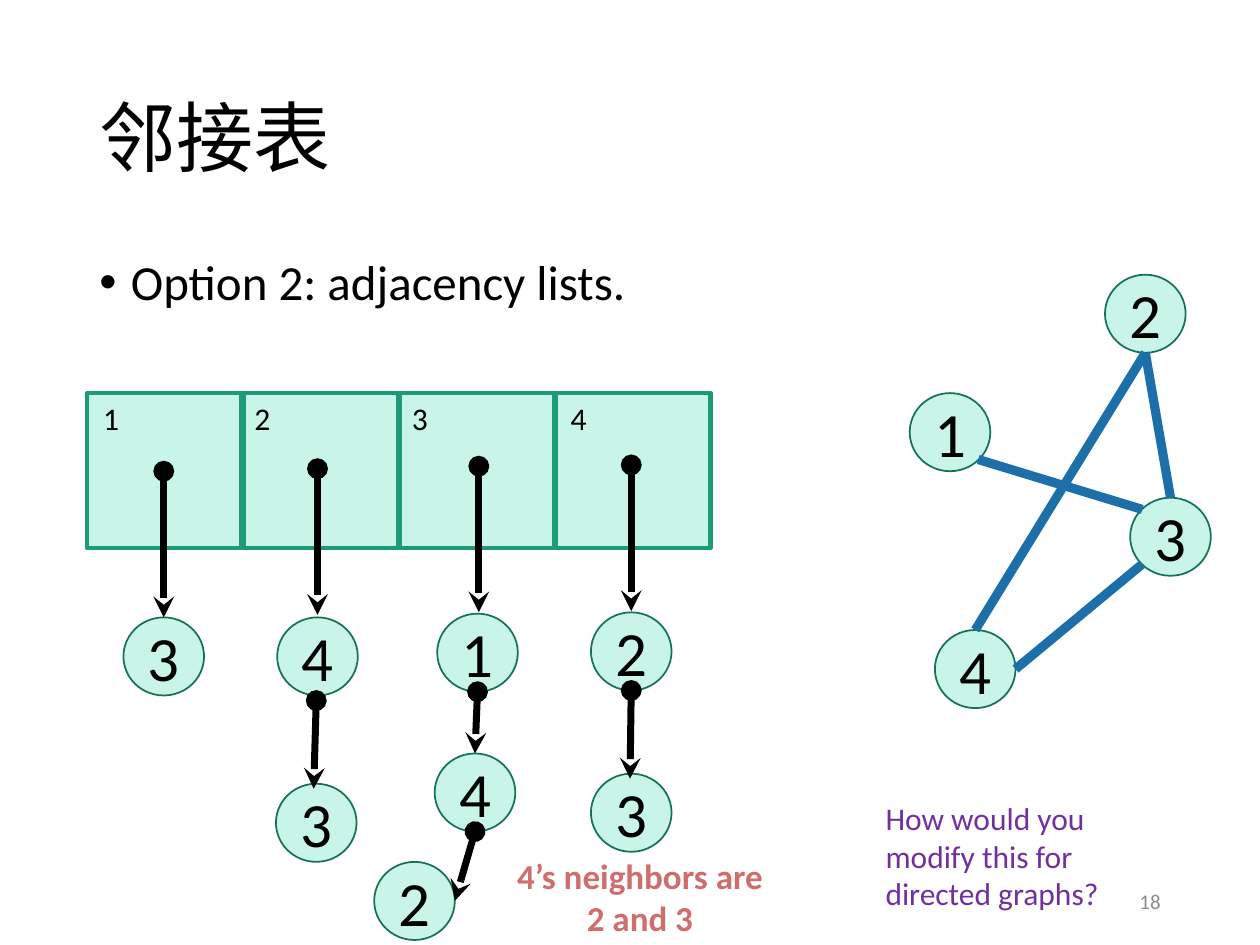
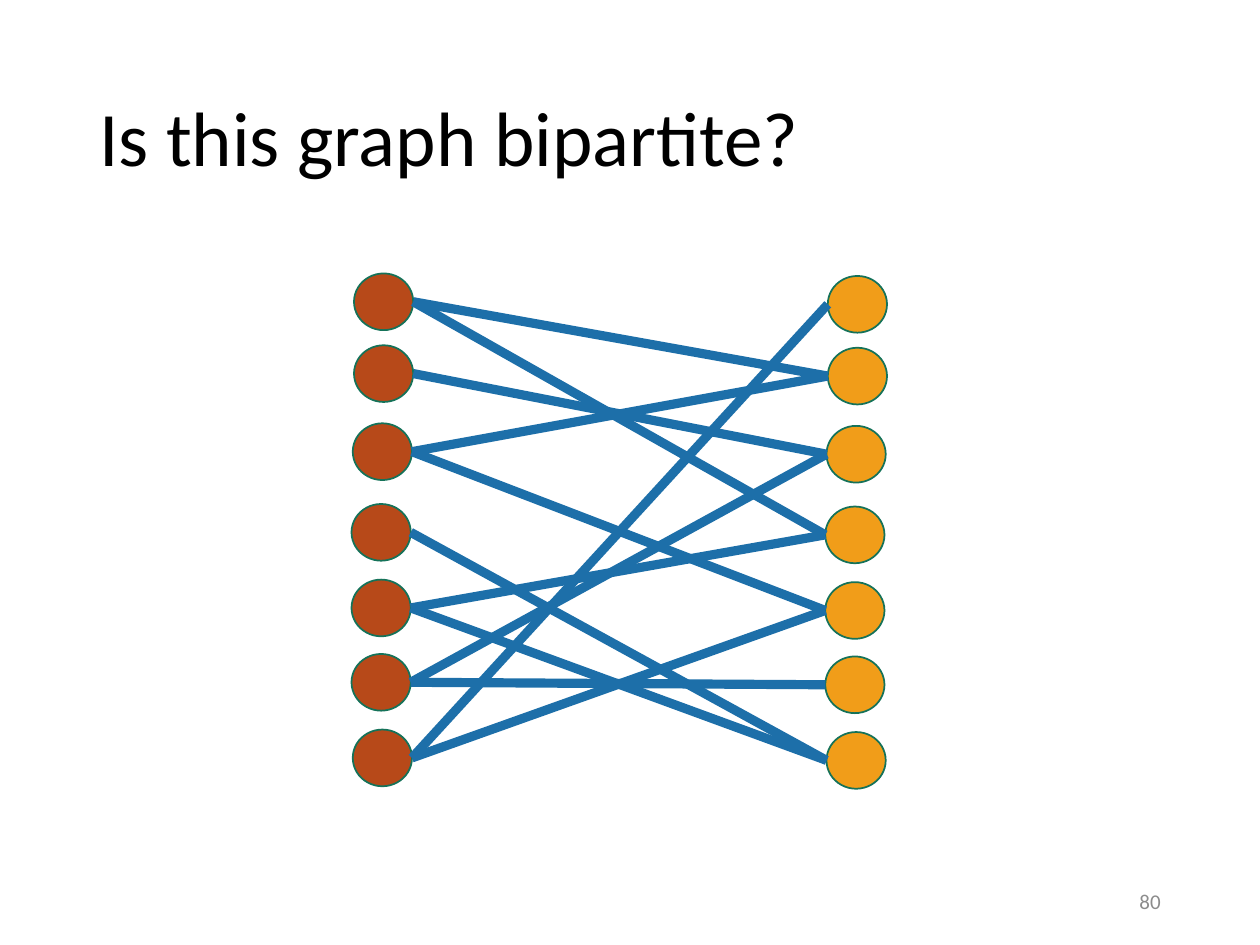
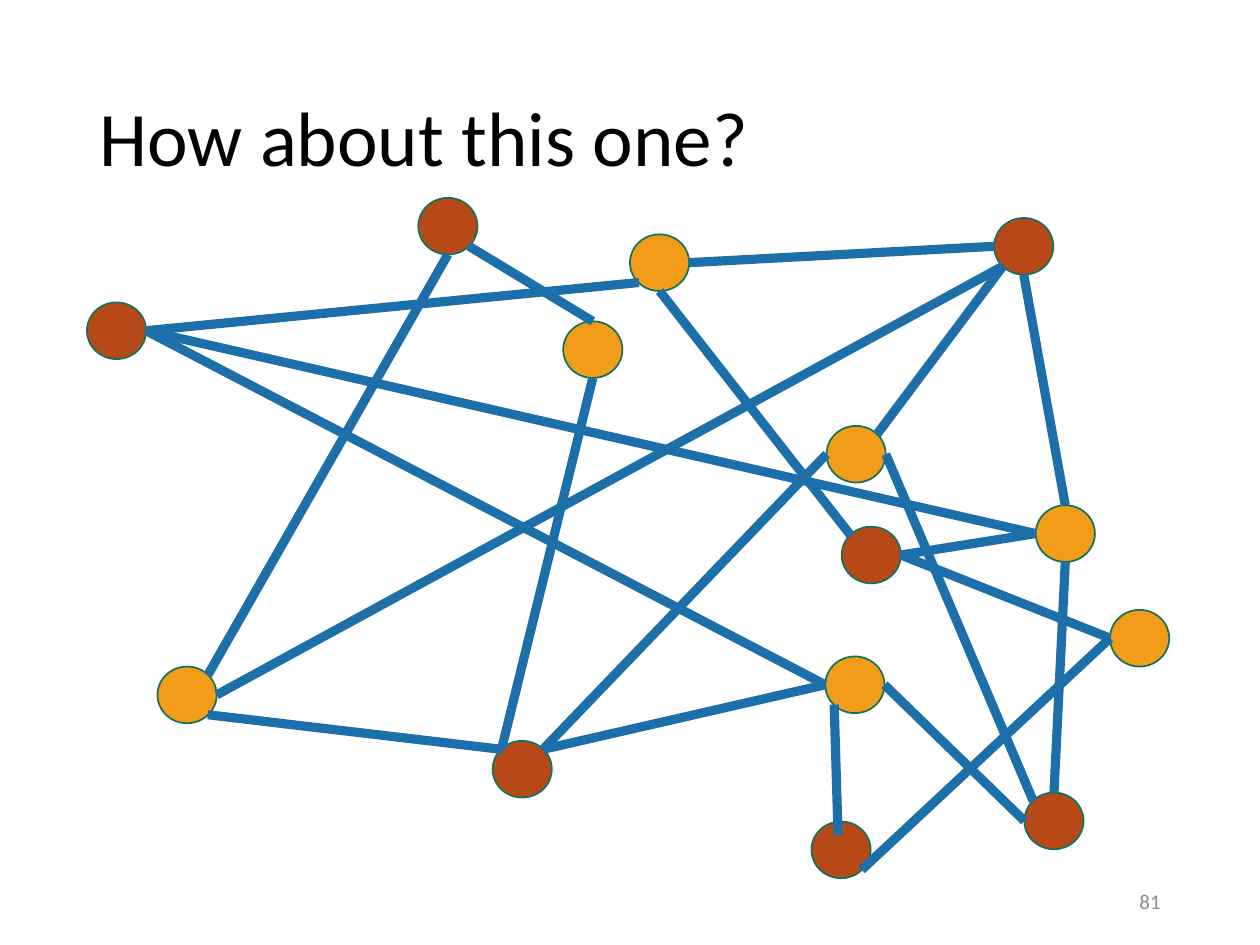
from dataclasses import dataclass

from lxml import etree
from pptx import Presentation
from pptx.dml.color import RGBColor
from pptx.enum.shapes import MSO_CONNECTOR, MSO_SHAPE
from pptx.enum.text import MSO_ANCHOR as Anchor, PP_ALIGN as Align
from pptx.oxml.ns import qn
from pptx.util import Inches, Pt

FONT = "Calibri"
BLACK, GREY, PURPLE, PINK = "000000", "8C8C8C", "7030A0", "CF6E6C"
MINT, GREEN, DARK_GREEN = "C8F5E8", "1D9A78", "157259"
BLUE, RED, ORANGE = "1D6FA9", "B74919", "F19D19"

LABELLED_SIZE = (0.64, 0.62)
DOT_SIZE = (0.47, 0.45)

# Points on a node's outline, as fractions of its width and height.
SITES = {
    "left": (0, 0.5), "right": (1, 0.5), "top": (0.5, 0), "bottom": (0.5, 1),
    "top left": (0.15, 0.15), "top right": (0.85, 0.15),
    "bottom left": (0.15, 0.85), "bottom right": (0.85, 0.85),
    "inside": (0.45, 0.24),
}


@dataclass
class Node:
    left: float
    top: float
    size: tuple
    fill: str
    label: str = ""

    def site(self, name):
        across, down = SITES[name]
        return self.left + across * self.size[0], self.top + down * self.size[1]


def rgb(color):
    return RGBColor.from_string(color)


def format_paragraph(paragraph, size, color, align=Align.LEFT, bold=False):
    paragraph.alignment = align
    for run in paragraph.runs:
        run.font.name = FONT
        run.font.size = Pt(size)
        run.font.bold = bold
        run.font.color.rgb = rgb(color)


def add_text(slide, box, text, size, color=BLACK, align=Align.LEFT,
             anchor=Anchor.TOP, bold=False):
    text_frame = slide.shapes.add_textbox(*map(Inches, box)).text_frame
    text_frame.word_wrap = True
    text_frame.vertical_anchor = anchor
    text_frame.text = text
    paragraph = text_frame.paragraphs[0]
    format_paragraph(paragraph, size, color, align, bold)
    return paragraph


def add_outlined(slide, kind, box, fill, line, width):
    shape = slide.shapes.add_shape(kind, *map(Inches, box))
    shape.shadow.inherit = False
    shape.fill.solid()
    shape.fill.fore_color.rgb = rgb(fill)
    shape.line.color.rgb = rgb(line)
    shape.line.width = Pt(width)
    return shape


def add_node(slide, node):
    box = (node.left, node.top, *node.size)
    shape = add_outlined(slide, MSO_SHAPE.OVAL, box, node.fill, DARK_GREEN, 1)
    if node.label:
        text_frame = shape.text_frame
        text_frame.vertical_anchor = Anchor.MIDDLE
        text_frame.text = node.label
        format_paragraph(text_frame.paragraphs[0], 36, BLACK, Align.CENTER)


def add_line(slide, start, end, color=BLUE, width=5.25):
    connector = slide.shapes.add_connector(
        MSO_CONNECTOR.STRAIGHT, *map(Inches, (*start, *end)))
    connector.line.color.rgb = rgb(color)
    connector.line.width = Pt(width)
    etree.SubElement(connector._element.spPr, qn("a:effectLst"))
    return connector


def add_pointer(slide, start, end):
    """Black arrow that starts with a dot."""
    outline = add_line(slide, start, end, BLACK, 4).line._get_or_add_ln()
    for tag, kind in (("a:headEnd", "oval"), ("a:tailEnd", "stealth")):
        etree.SubElement(outline, qn(tag)).set("type", kind)


def add_graph(slide, nodes, edges):
    """Draw nodes, then edges given as (node, site, node, site)."""
    for node in nodes.values():
        add_node(slide, node)
    for first, first_site, second, second_site in edges:
        add_line(slide, nodes[first].site(first_site),
                 nodes[second].site(second_site))


def new_slide(presentation, title, number):
    slide = presentation.slides.add_slide(presentation.slide_layouts[6])
    heading = add_text(slide, (0.69, 0.4, 8.62, 1.45), title, 44,
                       anchor=Anchor.MIDDLE)
    heading.line_spacing = 0.9
    add_text(slide, (7.06, 6.95, 2.25, 0.4), str(number), 12, GREY,
             Align.RIGHT, Anchor.MIDDLE)
    return slide


def add_bullet_text(slide, box, text):
    paragraph = add_text(slide, box, text, 28)
    paragraph.line_spacing = 0.9
    properties = paragraph._p.get_or_add_pPr()
    properties.set("marL", str(Inches(0.25)))
    properties.set("indent", str(-Inches(0.25)))
    etree.SubElement(properties, qn("a:buFont")).set("typeface", "Arial")
    etree.SubElement(properties, qn("a:buChar")).set("char", "•")


def add_sample_graph(slide, left, top):
    places = {"1": (0, 0.94), "2": (1.55, 0), "3": (1.75, 1.77), "4": (0.2, 2.82)}
    nodes = {label: Node(left + x, top + y, LABELLED_SIZE, MINT, label)
             for label, (x, y) in places.items()}
    add_graph(slide, nodes, [
        ("4", "right", "3", "bottom left"),
        ("4", "top", "2", "bottom"),
        ("3", "top", "2", "bottom"),
        ("3", "top left", "1", "bottom right"),
    ])


def add_adjacency_lists(slide, left, top):
    """Row of array cells, each with its linked list hanging below."""
    cell, pitch = 1.23, 1.24
    # Per column: index label left, nodes (label, x, y), pointers (x, y, x, y).
    columns = [
        (0.03, [("3", 0.29, 1.78)], [(0.61, 0.62, 0.61, 1.78)]),
        (1.23, [("4", 1.51, 1.78), ("3", 1.5, 3.1)],
         [(1.83, 0.6, 1.83, 1.76), (1.82, 2.44, 1.8, 3.14)]),
        (2.48, [("1", 2.78, 1.75), ("4", 2.76, 2.86), ("2", 2.28, 3.72)],
         [(3.11, 0.58, 3.11, 1.74), (3.1, 2.37, 3.08, 2.86),
          (3.08, 3.48, 2.92, 4.03)]),
        (3.74, [("2", 4, 1.74), ("3", 4, 3.02)],
         [(4.32, 0.57, 4.32, 1.73), (4.32, 2.36, 4.31, 3.06)]),
    ]
    for column in range(len(columns)):
        add_outlined(slide, MSO_SHAPE.RECTANGLE,
                     (left + column * pitch, top, cell, cell), MINT, GREEN, 2.75)
    for index, (label_left, nodes, pointers) in enumerate(columns, 1):
        add_text(slide, (left + label_left, top, 0.39, 0.4), str(index), 18)
        for label, x, y in nodes:
            add_node(slide, Node(left + x, top + y, LABELLED_SIZE, MINT, label))
        for x1, y1, x2, y2 in pointers:
            add_pointer(slide, (left + x1, top + y1), (left + x2, top + y2))


def add_bipartite_graph(slide, left, top):
    places = [(0.02, 0), (0.02, 0.57), (0.01, 1.19), (0, 1.83), (0, 2.43),
              (0, 3.02), (0.01, 3.62)]
    nodes = {}
    for side, fill, dx, dy in (("red", RED, 0, 0), ("orange", ORANGE, 3.76, 0.02)):
        for row, (x, y) in enumerate(places):
            nodes[side, row] = Node(left + x + dx, top + y + dy, DOT_SIZE, fill)
    pairs = [(0, 1), (0, 3), (2, 1), (2, 4), (4, 3), (3, 6),
             (6, 0), (5, 2), (5, 5), (4, 6), (6, 4), (1, 2)]
    add_graph(slide, nodes, [(("red", first), "right", ("orange", second), "left")
                             for first, second in pairs])


def add_scattered_graph(slide, left, top):
    places = {
        RED: {"A": (5.75, 4.95), "B": (2.63, 0), "C": (0, 0.83), "D": (7.44, 4.72),
              "E": (5.99, 2.61), "F": (7.2, 0.16), "G": (3.22, 4.31)},
        ORANGE: {"H": (4.31, 0.29), "I": (3.78, 0.98), "J": (5.87, 1.81),
                 "K": (7.53, 2.44), "L": (0.56, 3.72), "M": (5.86, 3.64),
                 "N": (8.12, 3.27)},
    }
    nodes = {name: Node(left + x, top + y, DOT_SIZE, fill)
             for fill, group in places.items() for name, (x, y) in group.items()}
    add_graph(slide, nodes, [
        ("K", "left", "C", "right"),
        ("M", "left", "C", "right"),
        ("K", "left", "E", "right"),
        ("N", "left", "E", "right"),
        ("N", "left", "A", "bottom right"),
        ("J", "left", "G", "top right"),
        ("L", "right", "F", "bottom left"),
        ("D", "top", "K", "bottom"),
        ("D", "left", "M", "right"),
        ("H", "right", "F", "left"),
        ("M", "left", "G", "top right"),
        ("M", "bottom left", "A", "inside"),
        ("K", "top", "F", "bottom"),
        ("H", "bottom", "E", "top left"),
        ("B", "bottom right", "I", "top"),
        ("C", "right", "H", "bottom left"),
        ("B", "bottom", "L", "top right"),
        ("J", "top right", "F", "bottom left"),
        ("G", "top left", "I", "bottom"),
        ("D", "top left", "J", "right"),
        ("G", "top left", "L", "bottom right"),
    ])


def main():
    presentation = Presentation()
    presentation.slide_width = Inches(10)
    presentation.slide_height = Inches(7.5)

    slide = new_slide(presentation, "邻接表", 18)
    add_bullet_text(slide, (0.69, 2, 8.62, 4.76), "Option 2: adjacency lists.")
    add_sample_graph(slide, 7.22, 2.18)
    add_text(slide, (6.93, 6.29, 2.13, 1.01),
             "How would you modify this for directed graphs?", 18, PURPLE)
    add_text(slide, (3.93, 6.73, 2.3, 0.77), "4’s neighbors are 2 and 3", 20,
             PINK, Align.CENTER, bold=True)
    add_adjacency_lists(slide, 0.69, 3.12)

    slide = new_slide(presentation, "Is this graph bipartite?", 80)
    add_bipartite_graph(slide, 2.79, 2.17)

    slide = new_slide(presentation, "How about this one?", 81)
    add_scattered_graph(slide, 0.69, 1.57)

    presentation.save("out.pptx")


if __name__ == "__main__":
    main()
